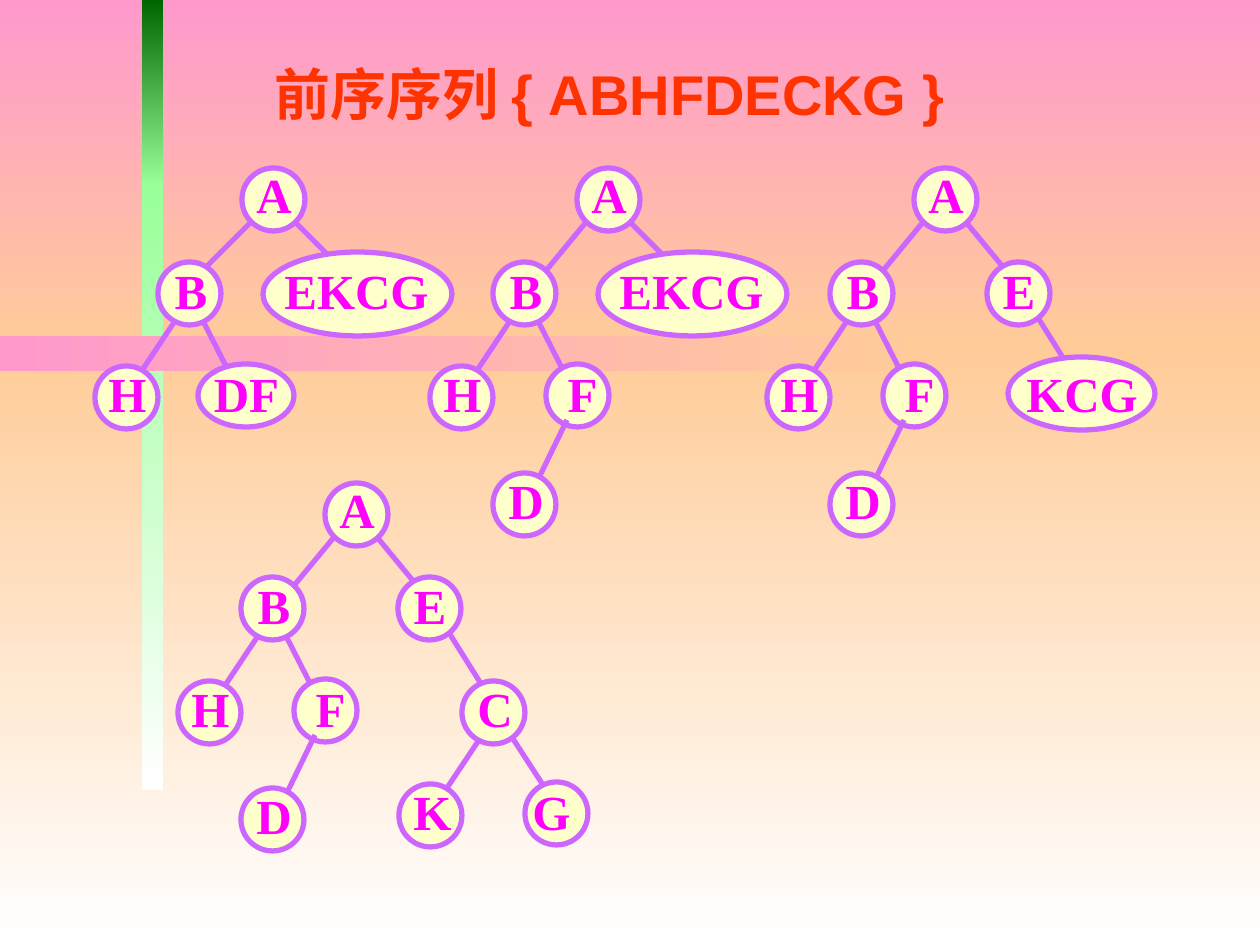
from lxml import etree
from pptx import Presentation
from pptx.dml.color import RGBColor
from pptx.enum.shapes import MSO_CONNECTOR, MSO_SHAPE
from pptx.enum.text import MSO_ANCHOR, PP_ALIGN
from pptx.oxml.ns import qn
from pptx.util import Emu, Pt

RECT = MSO_SHAPE.RECTANGLE
OVAL = MSO_SHAPE.OVAL
STRAIGHT = MSO_CONNECTOR.STRAIGHT
MIDDLE = MSO_ANCHOR.MIDDLE
TOP = MSO_ANCHOR.TOP
CENTER = PP_ALIGN.CENTER
LEFT = PP_ALIGN.LEFT

EMU_PER_PX = 914400 / 126
DOWN, RIGHT = 270, 0
OUTLINE = "CC66FF"
NODE_FILL = "FFFFCC"
LABEL_COLOR = "FF00FF"
TITLE_COLOR = "FF3300"
LABEL_HEIGHT = 72

BACKDROP = [
    ((0, 0, 1260, 350), "FF99CC", "FFCC99", DOWN),
    ((0, 350, 1260, 595), "FFCC99", "FFFFFF", DOWN),
    ((142, 0, 21, 186), "006600", "99FF99", DOWN),
    ((142, 184, 21, 606), "99FF99", "FFFFFF", DOWN),
    ((0, 336, 939, 35), "FF99CC", "FFCC99", RIGHT),
]

NODES = {
    "A": ((0, 0, 63, 63), (2, -10, 60)),
    "B": ((-84, 94, 63, 63), (-80, 86, 58)),
    "E": ((73, 94, 63, 63), (76, 86, 58)),
    "EKCG": ((21, 84, 189, 84), (28, 86, 173)),
    "H": ((-147, 198, 63, 63), (-146, 189, 63)),
    "F": ((-31, 196, 63, 63), (-42, 189, 95)),
    "DF": ((-44, 196, 96, 63), (-43, 189, 95)),
    "C": ((137, 198, 63, 63), (140, 189, 60)),
    "KCG": ((94, 189, 147, 73), (97, 189, 142)),
    "D": ((-84, 305, 63, 63), (-81, 296, 60)),
    "K": ((74, 301, 63, 63), (76, 292, 63)),
    "G": ((200, 299, 63, 63), (179, 292, 95)),
}

EDGES = {
    "A-B": (10, 53, -42, 116),
    "A-B-wide": (10, 53, -53, 116),
    "A-E": (42, 42, 94, 105),
    "A-EKCG": (52, 53, 115, 116),
    "B-H": (-63, 147, -105, 210),
    "B-right": (-42, 147, -10, 210),
    "E-right": (116, 137, 168, 220),
    "F-D": (-10, 252, -42, 318),
    "C-K": (158, 251, 116, 314),
    "C-G": (179, 242, 220, 305),
}

TREES = [
    ((242, 168), "B-right B-H A-B-wide A-EKCG A EKCG B H DF"),
    ((577, 168), "B-right B-H A-B A-EKCG A EKCG B H F F-D D"),
    ((914, 168), "E-right KCG B-right B-H A-B A-E A E B H F F-D D"),
    ((325, 483), "E-right B-right B-H A-B A-E A E B H F F-D D C-G C-K C K G"),
]


def px(*values):
    return [Emu(round(v * EMU_PER_PX)) for v in values]


def rgb(color):
    return RGBColor.from_string(color)


def add_gradient(slide, box, start, end, angle):
    sp = slide.shapes.add_shape(RECT, *px(*box))
    sp.shadow.inherit = False
    sp.line.fill.background()
    sp.fill.gradient()
    sp.fill.gradient_angle = angle
    for stop, color, position in zip(sp.fill.gradient_stops, (start, end), (0, 1)):
        stop.color.rgb = rgb(color)
        stop.position = position


def add_text(slide, box, text, size, font, color, align, anchor, wrap):
    tf = slide.shapes.add_textbox(*px(*box)).text_frame
    tf.word_wrap = wrap
    tf.vertical_anchor = anchor
    p = tf.paragraphs[0]
    p.text = text
    p.alignment = align
    r = p.runs[0]
    r.font.size = Pt(size)
    r.font.name = font
    r.font.bold = True
    r.font.color.rgb = rgb(color)


def set_outline(shape):
    shape.line.color.rgb = rgb(OUTLINE)
    shape.line.width = Pt(3)


def add_edge(slide, x, y, name):
    x1, y1, x2, y2 = EDGES[name]
    line = slide.shapes.add_connector(STRAIGHT, *px(x + x1, y + y1, x + x2, y + y2))
    set_outline(line)
    etree.SubElement(line._element.spPr, qn("a:effectLst"))


def add_node(slide, x, y, name):
    (left, top, width, height), (label_left, label_top, label_width) = NODES[name]
    sp = slide.shapes.add_shape(OVAL, *px(x + left, y + top, width, height))
    sp.shadow.inherit = False
    sp.fill.solid()
    sp.fill.fore_color.rgb = rgb(NODE_FILL)
    set_outline(sp)
    label_box = (x + label_left, y + label_top, label_width, LABEL_HEIGHT)
    add_text(slide, label_box, name, 28, "Times New Roman", LABEL_COLOR,
             CENTER, MIDDLE, False)


def add_tree(slide, root, parts):
    for name in parts.split():
        add_part = add_edge if name in EDGES else add_node
        add_part(slide, *root, name)


def main():
    prs = Presentation()
    prs.slide_width, prs.slide_height = px(1260, 945)
    slide = prs.slides.add_slide(prs.slide_layouts[6])
    for band in BACKDROP:
        add_gradient(slide, *band)
    add_text(slide, (262, 53, 714, 84), "前序序列 { ABHFDECKG }", 32, "Arial",
             TITLE_COLOR, LEFT, TOP, True)
    for root, parts in TREES:
        add_tree(slide, root, parts)
    prs.save("out.pptx")


if __name__ == "__main__":
    main()
